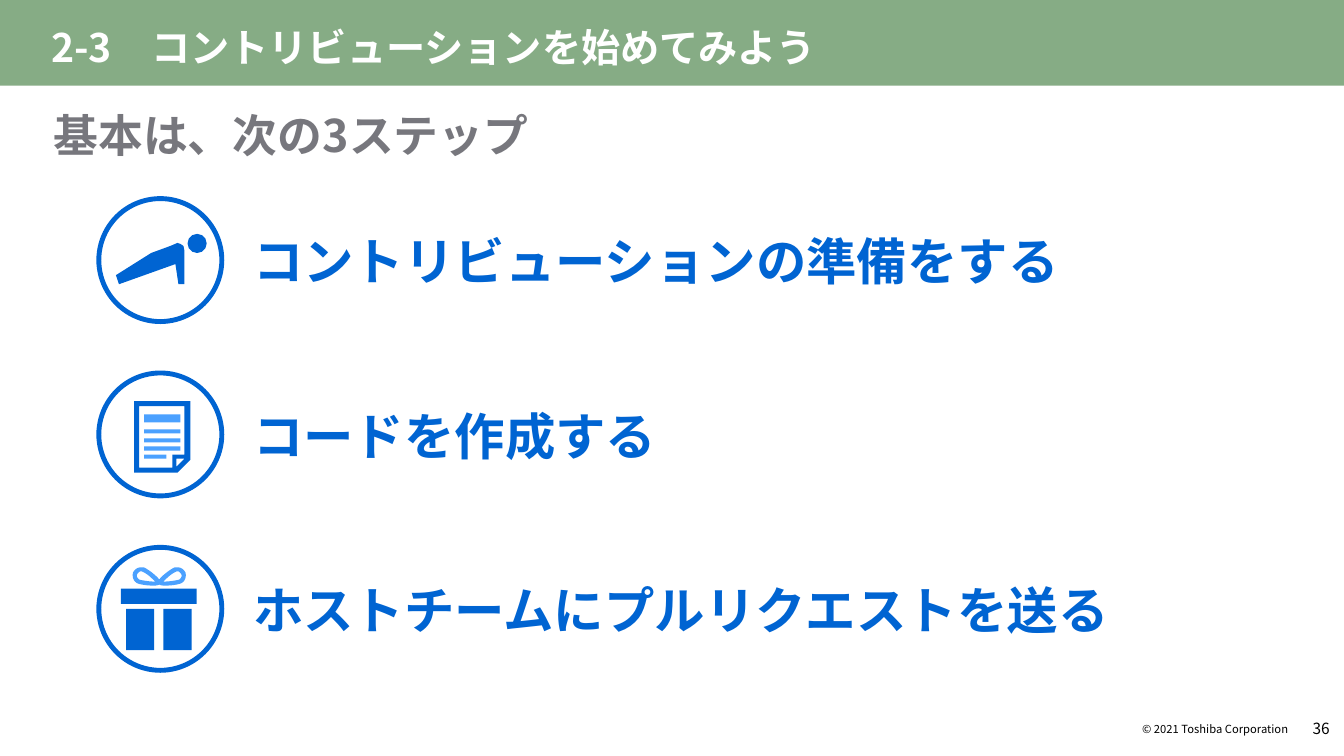
from lxml import etree
from pptx import Presentation
from pptx.dml.color import RGBColor
from pptx.enum.shapes import MSO_SHAPE
from pptx.enum.text import MSO_ANCHOR, MSO_AUTO_SIZE, PP_ALIGN
from pptx.oxml.ns import qn
from pptx.util import Inches, Pt

RECTANGLE, OVAL = MSO_SHAPE.RECTANGLE, MSO_SHAPE.OVAL
MIDDLE, BOTTOM = MSO_ANCHOR.MIDDLE, MSO_ANCHOR.BOTTOM
LEFT, RIGHT = PP_ALIGN.LEFT, PP_ALIGN.RIGHT
FIXED = MSO_AUTO_SIZE.NONE

WIDTH, HEIGHT = 13.33, 7.5
FONT = "Noto Sans CJK JP"
GREEN, GRAY, WHITE, BLACK = "86AC85", "77777D", "FFFFFF", "000000"
BLUE, SKY = "0064D2", "4BA1FF"

FIRST_STEP_TOP, STEP_PITCH = 1.97, 1.73
BADGE_LEFT, BADGE_SIZE = 0.98, 1.22
LABEL_OFFSET, LABEL_WIDTH = 1.53, 9.84

TORSO = [(0.85, 0.52), (0.84, 0.47), (0.81, 0.45), (0.78, 0.44), (0.71, 0.47),
         (0.52, 0.54), (0.17, 0.76), (0.2, 0.85), (0.76, 0.65), (0.79, 0.85),
         (0.85, 0.85)]
SHEET = [(0.35, 0.28), (0.91, 0.28), (0.91, 0.86), (0.78, 0.99), (0.35, 0.99)]
SHEET_INSIDE = [(0.4, 0.33), (0.4, 0.94), (0.73, 0.94), (0.73, 0.81),
                (0.85, 0.81), (0.85, 0.33)]
SHEET_CORNER = [(0.77, 0.93), (0.77, 0.85), (0.85, 0.85)]
TEXT_BARS = [(0.41, 0.36, 0.08), (0.56, 0.36, 0.04), (0.65, 0.36, 0.04),
             (0.73, 0.36, 0.04), (0.81, 0.22, 0.04)]
BOW_CENTER = 0.6
BOW_LOOP = [(0.6, 0.37), (0.62, 0.38), (0.64, 0.38), (0.66, 0.38),
            (0.72, 0.38), (0.78, 0.37), (0.81, 0.36),
            (0.86, 0.34), (0.87, 0.29), (0.86, 0.25),
            (0.84, 0.21), (0.8, 0.19), (0.75, 0.2),
            (0.69, 0.23), (0.62, 0.29), (0.6, 0.32)]
BOW_HOLE = [(0.77, 0.24), (0.79, 0.23), (0.81, 0.25), (0.82, 0.27),
            (0.83, 0.29), (0.81, 0.31), (0.8, 0.32),
            (0.76, 0.33), (0.7, 0.34), (0.64, 0.34),
            (0.67, 0.31), (0.72, 0.26), (0.77, 0.24)]


def color(value):
    """Turn a hex string into a colour."""
    return RGBColor.from_string(value)


def paint(shape, fill, line=None):
    """Give a shape a flat fill and an optional outline."""
    shape.shadow.inherit = False
    shape.fill.solid()
    shape.fill.fore_color.rgb = color(fill)
    if line:
        shape.line.color.rgb = color(line)
        shape.line.width = Pt(3.5)
    else:
        shape.line.fill.background()


def add_block(page, kind, box, fill, line=None):
    """Draw a preset shape in a box given in inches."""
    paint(page.shapes.add_shape(kind, *map(Inches, box)), fill, line)


def add_outline(page, origin, contours, fill):
    """Draw closed contours, placed from an origin, as one shape."""
    left, top = origin
    builder = None
    for contour in contours:
        points = [(Inches(left + x), Inches(top + y)) for x, y in contour]
        if builder is None:
            builder = page.shapes.build_freeform(*points[0])
        else:
            builder.move_to(*points[0])
        builder.add_line_segments(points[1:], close=True)
    paint(builder.convert_to_shape(), fill)


def trace_curve(knots, steps=8):
    """Turn a chain of cubic curves into a list of points."""
    points = [knots[0]]
    for first in range(0, len(knots) - 1, 3):
        corners = knots[first:first + 4]
        for step in range(1, steps + 1):
            t = step / steps
            weights = ((1 - t) ** 3, 3 * t * (1 - t) ** 2, 3 * t * t * (1 - t), t ** 3)
            points.append(tuple(sum(weight * corner[axis] for weight, corner
                                    in zip(weights, corners)) for axis in (0, 1)))
    return points


def write_text(shape, text, size, fill, bold=False, align=LEFT, anchor=MIDDLE,
               insets=(0, 0, 0, 0)):
    """Fill a shape with one line of formatted text."""
    frame = shape.text_frame
    frame.text = text
    frame.word_wrap = True
    frame.auto_size = FIXED
    frame.vertical_anchor = anchor
    (frame.margin_left, frame.margin_top,
     frame.margin_right, frame.margin_bottom) = map(Inches, insets)
    para = frame.paragraphs[0]
    para.alignment = align
    span = para.runs[0]
    span.font.size = Pt(size)
    span.font.bold = bold
    span.font.color.rgb = color(fill)
    span.font.name = FONT
    latin = span.font._element.find(qn("a:latin"))
    east_asian = etree.Element(qn("a:ea"), typeface=FONT)
    latin.addnext(east_asian)
    return para


def add_label(page, box, text, size, fill, **style):
    """Add a text box."""
    write_text(page.shapes.add_textbox(*map(Inches, box)), text, size, fill, **style)


def add_header(page, box):
    """Draw the title band and place the title on it."""
    left, top, width, height = box
    add_block(page, RECTANGLE, box, GREEN)
    title = page.shapes.title
    title.left, title.top = Inches(left), Inches(top)
    title.width, title.height = Inches(width * 0.94), Inches(height - 0.03)
    page.shapes._spTree.append(title._element)
    para = write_text(title, "2-3\u3000コントリビューションを始めてみよう".replace("\u3000", "　"),
                      28, WHITE, bold=True, anchor=BOTTOM,
                      insets=(0.51, 0.12, 0.47, 0.12))
    para.line_spacing = 0.9


def add_footer(page, box):
    """Place the copyright line and the page number."""
    left, top, width, height = box
    add_label(page, (left, top, 1.58, height), "© 2021 Toshiba Corporation",
              8, BLACK, align=RIGHT)
    add_label(page, (left + width - 0.46, top, 0.46, height), "36",
              11, BLACK, align=RIGHT)


def draw_push_up(page, left, top):
    """Draw a figure doing push-ups."""
    add_block(page, OVAL, (left + 0.88, top + 0.35, 0.19, 0.19), BLUE)
    add_outline(page, (left, top), [TORSO], BLUE)


def draw_document(page, left, top):
    """Draw a sheet with lines of text."""
    add_outline(page, (left, top), [SHEET, SHEET_INSIDE, SHEET_CORNER], BLUE)
    for offset, width, height in TEXT_BARS:
        add_block(page, RECTANGLE, (left + 0.45, top + offset, width, height), SKY)


def draw_gift(page, left, top):
    """Draw a gift box with a bow."""
    right_half = [trace_curve(BOW_LOOP), trace_curve(BOW_HOLE)]
    left_half = [[(2 * BOW_CENTER - x, y) for x, y in contour]
                 for contour in right_half]
    add_outline(page, (left, top), right_half + left_half, SKY)
    for offset in (0.27, 0.64):
        add_block(page, RECTANGLE, (left + offset, top + 0.61, 0.28, 0.41), BLUE)
    add_block(page, RECTANGLE, (left + 0.22, top + 0.41, 0.75, 0.15), BLUE)


def add_step(page, left, top, text, draw_icon):
    """Draw one step: a round badge with an icon, and its label."""
    add_label(page, (left + LABEL_OFFSET, top + 0.28, LABEL_WIDTH, 0.67),
              text, 36, BLUE, bold=True)
    add_block(page, OVAL, (left, top, BADGE_SIZE, BADGE_SIZE), WHITE, BLUE)
    draw_icon(page, left, top)


def main():
    """Build the slide and save it."""
    deck = Presentation()
    deck.slide_width, deck.slide_height = Inches(WIDTH), Inches(HEIGHT)
    page = deck.slides.add_slide(deck.slide_layouts[5])
    add_header(page, (0, 0, WIDTH, 0.85))
    add_label(page, (0.53, 1.08, 12.3, 0.51), "基本は、次の3ステップ", 32, GRAY, bold=True)
    steps = [("コントリビューションの準備をする", draw_push_up),
             ("コードを作成する", draw_document),
             ("ホストチームにプルリクエストを送る", draw_gift)]
    for row, (text, draw_icon) in enumerate(steps):
        add_step(page, BADGE_LEFT, FIRST_STEP_TOP + row * STEP_PITCH, text, draw_icon)
    add_footer(page, (11.2, 7.03, 1.99, 0.4))
    deck.save("out.pptx")


if __name__ == "__main__":
    main()
